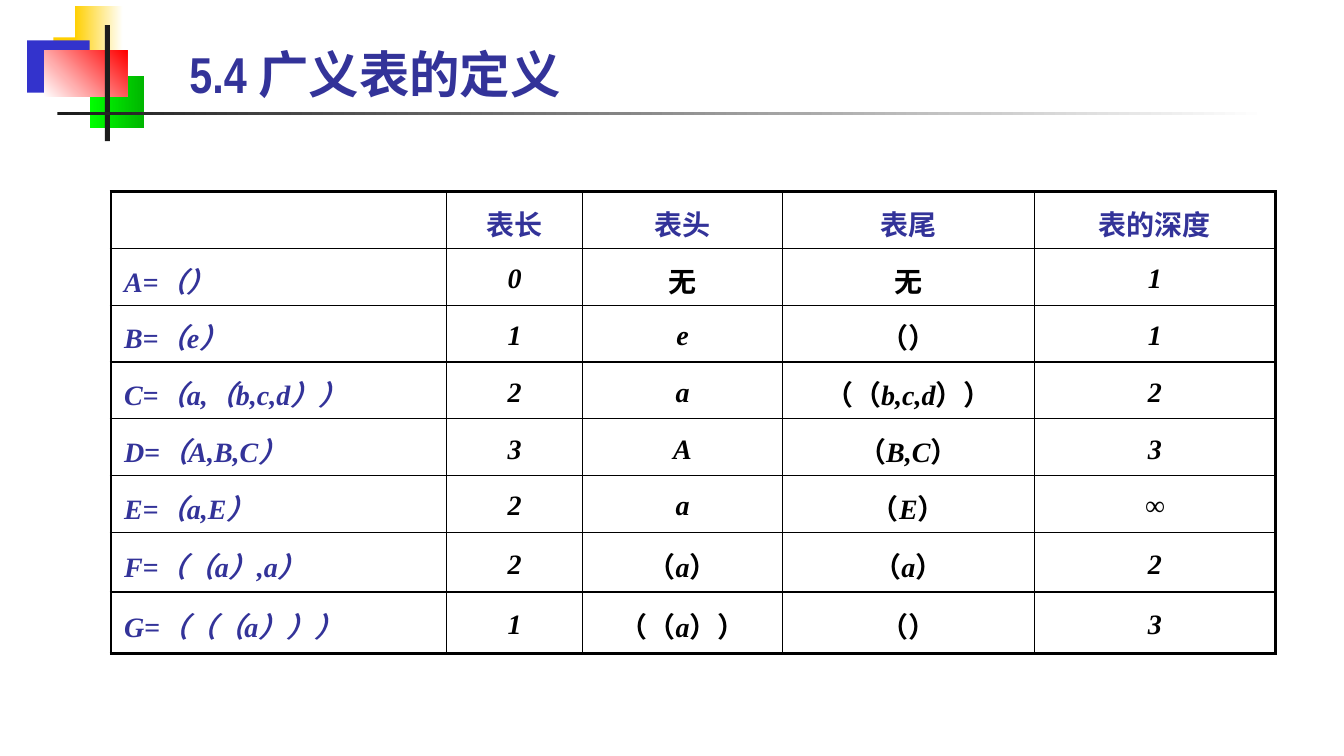
from dataclasses import dataclass
from itertools import groupby

from lxml.etree import SubElement
from pptx import Presentation
from pptx.dml.color import RGBColor
from pptx.enum.shapes import MSO_SHAPE
from pptx.enum.text import MSO_ANCHOR, PP_ALIGN
from pptx.oxml.ns import qn
from pptx.util import Inches, Pt


@dataclass(frozen=True)
class Theme:
    accent: str = "333399"
    ink: str = "000000"
    paper: str = "FFFFFF"
    dark: str = "1C1C1C"
    yellow: str = "FFCF01"
    blue: str = "3333CC"
    lime: str = "00FF00"
    green: str = "00B600"
    red: str = "FF0000"
    title_font: str = "Arial Narrow"
    table_font: str = "Times New Roman"
    title_size: float = 36
    table_size: float = 20
    thin: float = 1
    medium: float = 1.5
    thick: float = 2.25


THEME = Theme()
UPRIGHT = "（）无"
COLUMN_WIDTHS = [3.33, 1.35, 1.98, 2.5, 2.39]
ROW_HEIGHTS = [0.56] * 6 + [0.59, 0.61]
ROWS = [
    ["", "表长", "表头", "表尾", "表的深度"],
    ["A=（）", "0", "无", "无", "1"],
    ["B=（e）", "1", "e", "（）", "1"],
    ["C=（a,（b,c,d））", "2", "a", "（（b,c,d））", "2"],
    ["D=（A,B,C）", "3", "A", "（B,C）", "3"],
    ["E=（a,E）", "2", "a", "（E）", "∞"],
    ["F=（（a）,a）", "2", "（a）", "（a）", "2"],
    ["G=（（（a）））", "1", "（（a））", "（）", "3"],
]
ROW_RULES = [THEME.thick] + [THEME.thin] * 5 + [THEME.medium] * 2 + [THEME.thick]
COLUMN_RULES = [THEME.thick] + [THEME.thin] * 4 + [THEME.thick]


def apply_format(target, values):
    for name, value in values.items():
        setattr(target, name, value)


def add_run(paragraph, text, color, values):
    run = paragraph.add_run()
    run.text = text
    apply_format(run.font, values)
    run.font.color.rgb = RGBColor.from_string(color)


def add_block(slide, box, colors, angle=0):
    shape = slide.shapes.add_shape(MSO_SHAPE.RECTANGLE, *map(Inches, box))
    shape.shadow.inherit = False
    shape.line.fill.background()
    if len(colors) == 1:
        shape.fill.solid()
        shape.fill.fore_color.rgb = RGBColor.from_string(colors[0])
        return
    shape.fill.gradient()
    shape.fill.gradient_angle = angle
    for stop, color in zip(shape.fill.gradient_stops, colors):
        stop.color.rgb = RGBColor.from_string(color)


def add_ornament(slide, left, top):
    blocks = [
        (0.26, 0.31, 0.64, 0.52, [THEME.yellow], 0),
        (0.47, 0, 0.48, 0.52, [THEME.yellow, THEME.paper], 0),
        (0, 0.34, 0.62, 0.52, [THEME.blue], 0),
        (0.62, 0.69, 0.54, 0.52, [THEME.lime, THEME.green], 0),
        (0.17, 0.44, 0.82, 0.46, [THEME.paper, THEME.red], 45),
        (0.77, 0.19, 0.05, 1.15, [THEME.dark], 0),
        (0.3, 1.05, 12, 0.03, [THEME.dark, THEME.paper], 0),
    ]
    for x, y, width, height, colors, angle in blocks:
        add_block(slide, (left + x, top + y, width, height), colors, angle)


def add_title(slide, box, text):
    frame = slide.shapes.add_textbox(*map(Inches, box)).text_frame
    apply_format(frame, {"word_wrap": True, "vertical_anchor": MSO_ANCHOR.BOTTOM})
    add_run(frame.paragraphs[0], text, THEME.accent,
            {"name": THEME.title_font, "size": Pt(THEME.title_size), "bold": True})


def set_borders(cell, widths):
    properties = cell._tc.get_or_add_tcPr()
    for position, (side, width) in enumerate(widths.items()):
        line = SubElement(properties, qn(f"a:{side}"), w=str(Pt(width)))
        fill = SubElement(line, qn("a:solidFill"))
        SubElement(fill, qn("a:srgbClr"), val=THEME.ink)
        properties.insert(position, line)


def fill_cell(cell, text, row, column):
    apply_format(cell, {
        "vertical_anchor": MSO_ANCHOR.MIDDLE,
        "margin_left": Inches(0.13), "margin_right": Inches(0.13),
        "margin_top": Inches(0.05), "margin_bottom": Inches(0.05),
    })
    cell.fill.background()
    set_borders(cell, {
        "lnL": COLUMN_RULES[column], "lnR": COLUMN_RULES[column + 1],
        "lnT": ROW_RULES[row], "lnB": ROW_RULES[row + 1],
    })
    paragraph = cell.text_frame.paragraphs[0]
    apply_format(paragraph, {
        "alignment": PP_ALIGN.CENTER if column else PP_ALIGN.LEFT,
        "line_spacing": 1.15,
        "space_before": Pt(0.2 * THEME.table_size),
    })
    heading = row == 0 or column == 0
    color = THEME.accent if heading else THEME.ink
    pieces = groupby(text, lambda letter: not heading and letter in UPRIGHT)
    for upright, letters in pieces:
        add_run(paragraph, "".join(letters), color, {
            "name": THEME.table_font, "size": Pt(THEME.table_size),
            "bold": True, "italic": row > 0 and not upright,
        })


def add_list_table(slide, left, top):
    table = slide.shapes.add_table(
        len(ROWS), len(COLUMN_WIDTHS), Inches(left), Inches(top),
        Inches(sum(COLUMN_WIDTHS)), Inches(sum(ROW_HEIGHTS))).table
    apply_format(table, {"first_row": False, "horz_banding": False})
    for column, width in zip(table.columns, COLUMN_WIDTHS):
        column.width = Inches(width)
    for row, height in zip(table.rows, ROW_HEIGHTS):
        row.height = Inches(height)
    for row, texts in enumerate(ROWS):
        for column, text in enumerate(texts):
            fill_cell(table.cell(row, column), text, row, column)


def main():
    presentation = Presentation()
    apply_format(presentation, {"slide_width": Inches(13.33), "slide_height": Inches(7.5)})
    slide = presentation.slides.add_slide(presentation.slide_layouts[6])
    add_ornament(slide, 0.27, 0.06)
    add_list_table(slide, 1.1, 1.9)
    add_title(slide, (1.78, 0.25, 11.36, 0.83), "5.4 广义表的定义")
    presentation.save("out.pptx")


if __name__ == "__main__":
    main()
